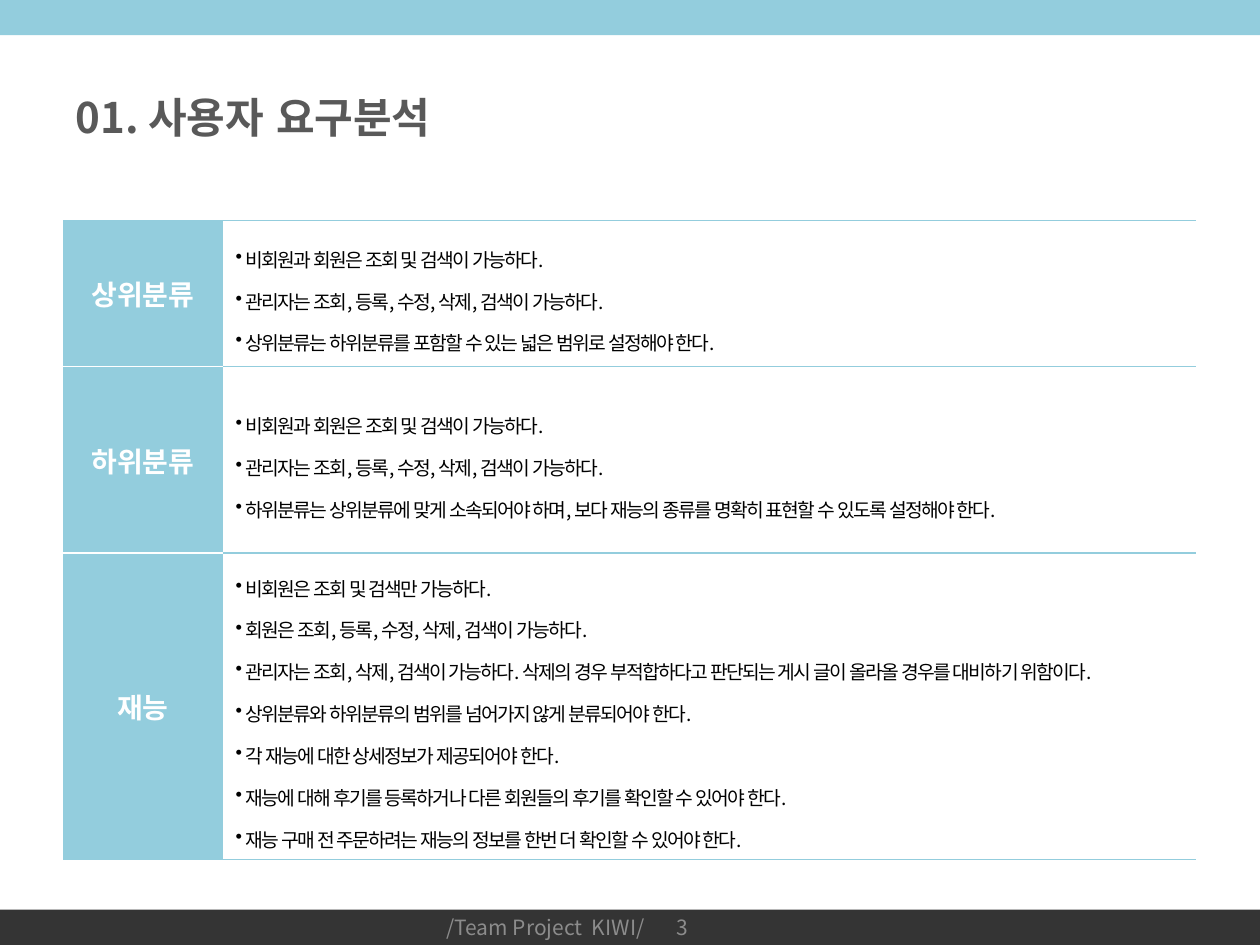
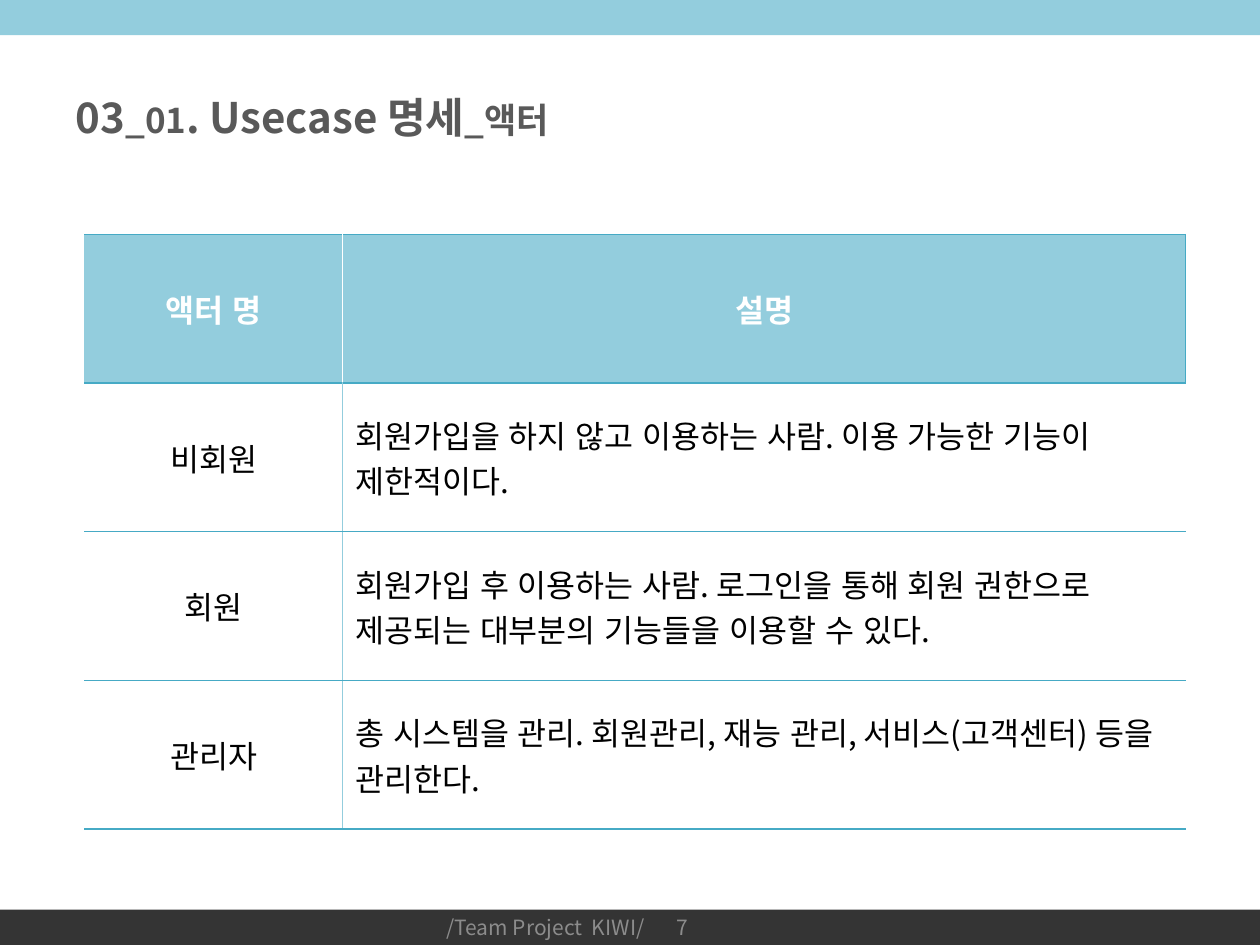
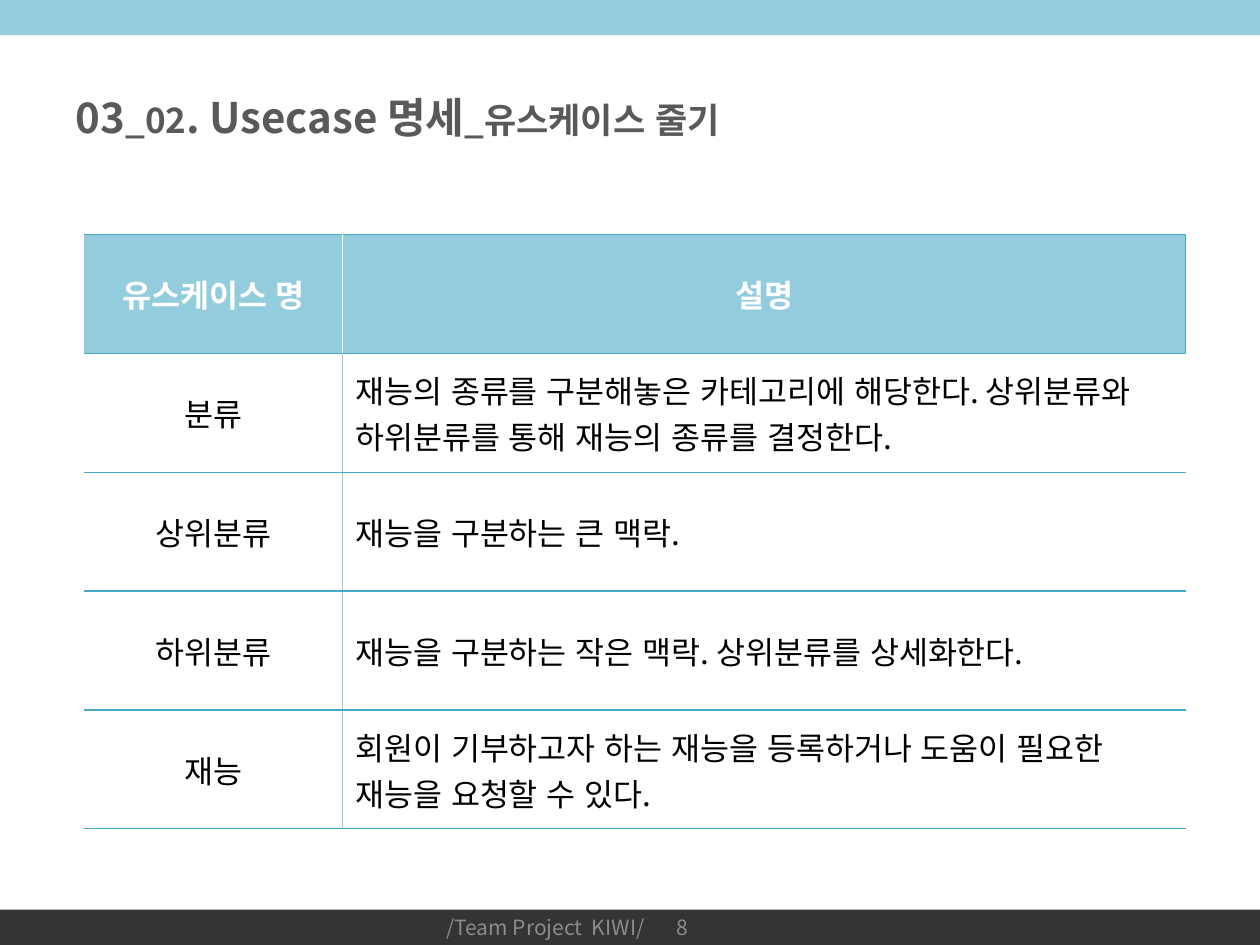
import pptx
import pptx.util
import pptx.dml.color
import pptx.enum.lang
import pptx.enum.shapes
import pptx.enum.text
import pptx.oxml
import pptx.oxml.ns

Inches = pptx.util.Inches
Pt = pptx.util.Pt
RGBColor = pptx.dml.color.RGBColor
ALIGN = pptx.enum.text.PP_ALIGN
MIDDLE = pptx.enum.text.MSO_ANCHOR.MIDDLE
qn = pptx.oxml.ns.qn

# Shared look
FONT = "Noto Sans CJK KR"
SKY = RGBColor(0x93, 0xCD, 0xDD)
TEAL = RGBColor(0x46, 0xAA, 0xC5)
CHARCOAL = RGBColor(0x34, 0x34, 0x34)
TITLE_GRAY = RGBColor(0x59, 0x59, 0x59)
FOOTER_GRAY = RGBColor(0x8C, 0x8C, 0x8C)
WHITE = RGBColor(0xFF, 0xFF, 0xFF)
BLACK = RGBColor(0, 0, 0)
PLAIN_TABLE = "{2D5ABB26-0587-4C30-8999-92F81FD0307C}"
FOOTER = "/Team Project  KIWI/"
BAND = 0.28

REQUIREMENTS = [
    ("상위분류", 1.16, [
        "비회원과 회원은 조회 및 검색이 가능하다.",
        "관리자는 조회, 등록, 수정, 삭제, 검색이 가능하다.",
        "상위분류는 하위분류를 포함할 수 있는 넓은 범위로 설정해야 한다."]),
    ("하위분류", 1.48, [
        "비회원과 회원은 조회 및 검색이 가능하다.",
        "관리자는 조회, 등록, 수정, 삭제, 검색이 가능하다.",
        "하위분류는 상위분류에 맞게 소속되어야 하며, 보다 재능의 종류를 "
        "명확히 표현할 수 있도록 설정해야 한다."]),
    ("재능", 2.43, [
        "비회원은 조회 및 검색만 가능하다.",
        "회원은 조회, 등록, 수정, 삭제, 검색이 가능하다.",
        "관리자는 조회, 삭제, 검색이 가능하다. 삭제의 경우 부적합하다고 "
        "판단되는 게시 글이 올라올 경우를 대비하기 위함이다.",
        "상위분류와 하위분류의 범위를 넘어가지 않게 분류되어야 한다.",
        "각 재능에 대한 상세정보가 제공되어야 한다.",
        "재능에 대해 후기를 등록하거나 다른 회원들의 후기를 확인할 수 있어야 한다.",
        "재능 구매 전 주문하려는 재능의 정보를 한번 더 확인할 수 있어야 한다."]),
]

ACTORS = [
    ("액터 명", "설명"),
    ("비회원", "회원가입을 하지 않고 이용하는 사람. 이용 가능한 기능이 제한적이다."),
    ("회원", "회원가입 후 이용하는 사람. 로그인을 통해 회원 권한으로 "
             "제공되는 대부분의 기능들을 이용할 수 있다."),
    ("관리자", "총 시스템을 관리. 회원관리, 재능 관리, 서비스(고객센터) 등을 관리한다."),
]

USECASES = [
    ("유스케이스 명", "설명"),
    ("분류", "재능의 종류를 구분해놓은 카테고리에 해당한다. "
             "상위분류와 하위분류를 통해 재능의 종류를 결정한다."),
    ("상위분류", "재능을 구분하는 큰 맥락."),
    ("하위분류", "재능을 구분하는 작은 맥락. 상위분류를 상세화한다."),
    ("재능", "회원이 기부하고자 하는 재능을 등록하거나 도움이 필요한 "
             "재능을 요청할 수 있다."),
]


def add_text(p, text, size=18, color=BLACK, bold=False, align=None, spacing=None):
    """Add one formatted run to a paragraph."""
    if align is not None:
        p.alignment = align
    r = p.add_run()
    r.text = text
    r.font.size = Pt(size)
    r.font.bold = bold
    r.font.color.rgb = color
    r.font.name = FONT
    r.font.language_id = pptx.enum.lang.MSO_LANGUAGE_ID.KOREAN
    rPr = r.font._element
    latin = rPr.find(qn("a:latin"))
    latin.addnext(pptx.oxml.parse_xml(
        f'<a:ea {pptx.oxml.ns.nsdecls("a")} typeface="{FONT}"/>'))
    if spacing is not None:
        rPr.set("spc", str(int(spacing * 100)))


def set_bullet(p, indent):
    pPr = p._p.get_or_add_pPr()
    pPr.set("marL", str(Inches(indent)))
    pPr.set("indent", str(-Inches(indent)))
    pPr.append(pptx.oxml.parse_xml(
        f'<a:buChar {pptx.oxml.ns.nsdecls("a")} char="•"/>'))


def set_borders(cell, **sides):
    """Sides L, R, T, B, each a (colour, points) pair."""
    tcPr = cell._tc.get_or_add_tcPr()
    for side in "LRTB":
        if side in sides:
            color, width = sides[side]
            tcPr.append(pptx.oxml.parse_xml(
                f'<a:ln{side} {pptx.oxml.ns.nsdecls("a")} w="{Pt(width)}">'
                f'<a:solidFill><a:srgbClr val="{color}"/></a:solidFill>'
                f'</a:ln{side}>'))


def fill_cell(cell, color=None):
    cell.vertical_anchor = MIDDLE
    if color is None:
        cell.fill.background()
    else:
        cell.fill.solid()
        cell.fill.fore_color.rgb = color


def add_bands(slide):
    """Draw the top and bottom bands and hand them to the slide's layout."""
    tree = slide.slide_layout.shapes._spTree
    for top, color in ((7.5 - BAND, CHARCOAL), (0, SKY)):
        s = slide.shapes.add_shape(pptx.enum.shapes.MSO_SHAPE.RECTANGLE,
                                   0, Inches(top), Inches(10), Inches(BAND))
        s.shadow.inherit = False
        s.fill.solid()
        s.fill.fore_color.rgb = color
        s.line.fill.background()
        tree.append(s._element)


def add_footer_text(slide, text, left, width, align):
    s = slide.shapes.add_textbox(Inches(left), Inches(7.21),
                                 Inches(width), Inches(0.29))
    tf = s.text_frame
    tf.word_wrap = True
    tf.vertical_anchor = MIDDLE
    add_text(tf.paragraphs[0], text, size=12, color=FOOTER_GRAY, align=align)


def add_slide(prs, layout, title, number, width=9):
    """Title is a list of (text, size) parts."""
    slide = prs.slides.add_slide(layout)
    s = slide.shapes.title
    s.left, s.top = Inches(0.5), Inches(0.3)
    s.width, s.height = Inches(width), Inches(1.25)
    tf = s.text_frame
    tf.auto_size = pptx.enum.text.MSO_AUTO_SIZE.NONE
    tf.vertical_anchor = MIDDLE
    for text, size in title:
        add_text(tf.paragraphs[0], text, size=size, color=TITLE_GRAY,
                 bold=True, align=ALIGN.LEFT)
    add_footer_text(slide, FOOTER, 3.42, 1.82, ALIGN.CENTER)
    add_footer_text(slide, str(number), 5.08, 0.48, ALIGN.RIGHT)
    return slide


def add_table(slide, left, top, widths, heights):
    frame = slide.shapes.add_table(
        len(heights), len(widths), Inches(left), Inches(top),
        Inches(sum(widths)), Inches(sum(heights)))
    table = frame.table
    table.first_row = table.horz_banding = False
    table._tbl.tblPr.find(qn("a:tableStyleId")).text = PLAIN_TABLE
    for column, width in zip(table.columns, widths):
        column.width = Inches(width)
    for row, height in zip(table.rows, heights):
        row.height = Inches(height)
    return table


def add_requirements_table(slide, rows):
    table = add_table(slide, 0.5, 1.75, [1.27, 7.72], [row[1] for row in rows])
    edge, gap = (SKY, 1), (WHITE, 1)
    for i, (name, height, items) in enumerate(rows):
        label, detail = table.cell(i, 0), table.cell(i, 1)
        set_borders(label, T=gap if i else edge,
                    B=gap if i < len(rows) - 1 else edge)
        fill_cell(label, SKY)
        add_text(label.text_frame.paragraphs[0], name, size=16, color=WHITE,
                 bold=True, align=ALIGN.CENTER)
        set_borders(detail, T=edge, B=edge)
        fill_cell(detail)
        tf = detail.text_frame
        for j, item in enumerate(items):
            p = tf.add_paragraph() if j else tf.paragraphs[0]
            p.line_spacing = 1.5
            set_bullet(p, 0.08)
            add_text(p, item, size=11, spacing=-1)


def add_description_table(slide, rows):
    """Header row, then equal rows of name and description."""
    table = add_table(slide, 0.67, 1.86, [2.05, 6.69],
                      [4.72 / len(rows)] * len(rows))
    rule = (TEAL, 0.75)
    for i, texts in enumerate(rows):
        header = i == 0
        divider = (WHITE if header else SKY, 1)
        for j, text in enumerate(texts):
            cell = table.cell(i, j)
            sides = {"T": rule, "B": rule, "L" if j else "R": divider}
            if header and j:
                sides["R"] = rule
            set_borders(cell, **sides)
            fill_cell(cell, SKY if header else None)
            add_text(cell.text_frame.paragraphs[0], text, bold=header,
                     color=WHITE if header else BLACK,
                     align=ALIGN.CENTER if header or j == 0 else ALIGN.LEFT)


def main():
    prs = pptx.Presentation()
    prs.slide_width, prs.slide_height = Inches(10), Inches(7.5)
    layout = prs.slide_layouts.get_by_name("Title Only")

    # User requirements
    slide = add_slide(prs, layout, [("01. 사용자 요구분석", 24)], 3)
    add_bands(slide)
    add_requirements_table(slide, REQUIREMENTS)

    # Use case specification
    for part, topic, number, width, rows in (
            ("_01", "_액터", 7, 5.05, ACTORS),
            ("_02", "_유스케이스 줄기", 8, 8.91, USECASES)):
        title = [("03", 24), (part, 20), (". Usecase 명세", 24), (topic, 20)]
        slide = add_slide(prs, layout, title, number, width)
        add_description_table(slide, rows)

    prs.save("out.pptx")


main()
